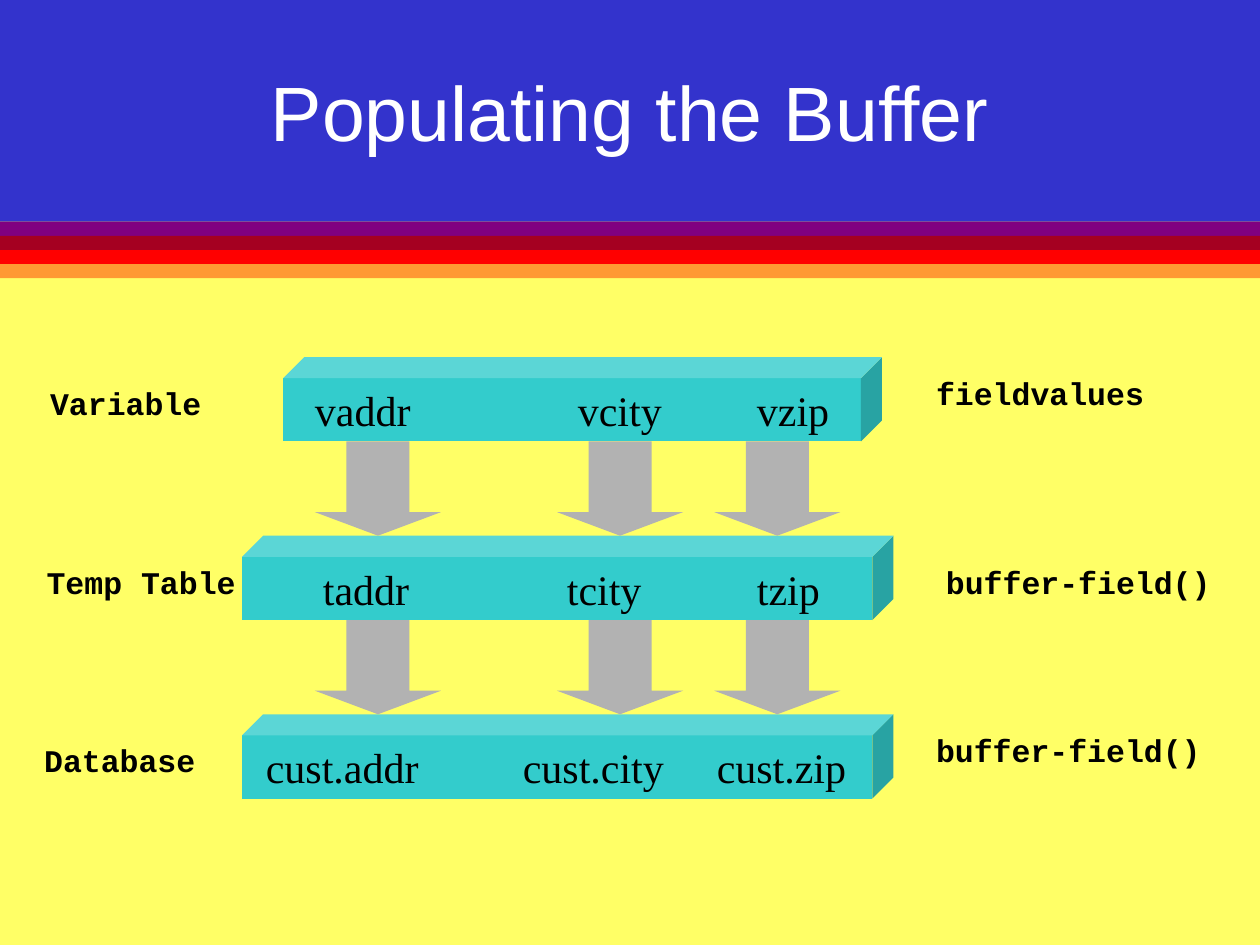
from lxml.etree import SubElement
from pptx import Presentation
from pptx.dml.color import RGBColor
from pptx.enum.shapes import MSO_SHAPE
from pptx.enum.text import MSO_ANCHOR, PP_ALIGN
from pptx.oxml.ns import qn
from pptx.util import Cm, Pt

COLORS = {
    "ground": "FFFF66", "header": "3333CC", "purple": "800080",
    "crimson": "A50021", "red": "FF0000", "orange": "FF9933",
    "cube": "33CCCC", "arrow": "B2B2B2", "text": "000000", "title": "FFFFFF",
}
TITLE_FONT = {"name": "Arial", "size": Pt(44), "bold": False}
FIELD_FONT = {"name": "Times New Roman", "size": Pt(24)}
LABEL_FONT = {"name": "Courier New", "size": Pt(18), "bold": True}


def add_filled_shape(kind, left, top, width, height, color):
    shape = slide.shapes.add_shape(kind, Cm(left), Cm(top), Cm(width), Cm(height))
    shape.shadow.inherit = False
    shape.fill.solid()
    shape.fill.fore_color.rgb = RGBColor.from_string(COLORS[color])
    shape.line.fill.background()
    return shape


def write_text(para, text, font_format, color):
    span = para.add_run()
    span.text = text
    for name, value in font_format.items():
        setattr(span.font, name, value)
    span.font.color.rgb = RGBColor.from_string(COLORS[color])


deck = Presentation()
deck.slide_width, deck.slide_height = Cm(25.4), Cm(19.05)
slide = deck.slides.add_slide(deck.slide_layouts[5])

# Background and header bands
slide.background.fill.solid()
slide.background.fill.fore_color.rgb = RGBColor.from_string(COLORS["ground"])
header_height, band_height = 4.47, 0.285
add_filled_shape(MSO_SHAPE.RECTANGLE, 0, 0, 25.4, header_height, "header")
for index, color in enumerate(["purple", "crimson", "red", "orange"]):
    add_filled_shape(MSO_SHAPE.RECTANGLE, 0, header_height + index * band_height,
                     25.4, band_height, color)

# Title, raised above the header band
title = slide.shapes.title
title.left, title.top, title.width, title.height = Cm(1.9), Cm(0.64), Cm(21.6), Cm(3.18)
title.text_frame.vertical_anchor = MSO_ANCHOR.MIDDLE
title_para = title.text_frame.paragraphs[0]
title_para.alignment = PP_ALIGN.CENTER
write_text(title_para, "Populating the Buffer", TITLE_FONT, "title")
slide.shapes.element.append(title.element)

# Rows of fields: cube left and width, then each field with its left edge
first_top, row_step, cube_height = 7.2, 3.6, 1.7
rows = [
    (5.71, 12.07, [("vaddr", 6.35), ("vcity", 11.65), ("vzip", 15.26)]),
    (4.88, 13.13, [("taddr", 6.51), ("tcity", 11.43), ("tzip", 15.26)]),
    (4.88, 13.13, [("cust.addr", 5.36), ("cust.city", 10.54), ("cust.zip", 14.45)]),
]
for index, (left, width, fields) in enumerate(rows):
    top = first_top + index * row_step
    cube = add_filled_shape(MSO_SHAPE.CUBE, left, top, width, cube_height, "cube")
    frame = cube.text_frame
    frame.vertical_anchor = MSO_ANCHOR.MIDDLE
    text_left = fields[0][1]
    frame.margin_left, frame.margin_right = Cm(text_left - left), 0
    para = frame.paragraphs[0]
    para.alignment = PP_ALIGN.LEFT
    tab_list = SubElement(para._p.get_or_add_pPr(), qn("a:tabLst"))
    for _, field_left in fields[1:]:
        SubElement(tab_list, qn("a:tab"), pos=str(Cm(field_left - text_left)), algn="l")
    write_text(para, "\t".join(name for name, _ in fields), FIELD_FONT, "text")

# Arrows filling the gaps between rows
for index in range(len(rows) - 1):
    arrow_top = first_top + index * row_step + cube_height
    for left in (6.35, 11.23, 14.4):
        arrow = add_filled_shape(MSO_SHAPE.DOWN_ARROW, left, arrow_top, 2.54,
                                 row_step - cube_height, "arrow")
        arrow.adjustments[0], arrow.adjustments[1] = 0.5, 0.25

# Row labels on both sides
labels = [
    ("Variable", 0.76, 7.62, 3.56), ("Temp Table", 0.69, 11.22, 4.32),
    ("Database", 0.64, 14.82, 3.56), ("fieldvalues", 18.62, 7.41, 4.7),
    ("buffer-field()", 18.82, 11.22, 5.84), ("buffer-field()", 18.62, 14.61, 5.84),
]
for text, left, top, width in labels:
    box = slide.shapes.add_textbox(Cm(left), Cm(top), Cm(width), Cm(1.02))
    box.text_frame.word_wrap = False
    write_text(box.text_frame.paragraphs[0], text, LABEL_FONT, "text")

deck.save("out.pptx")
